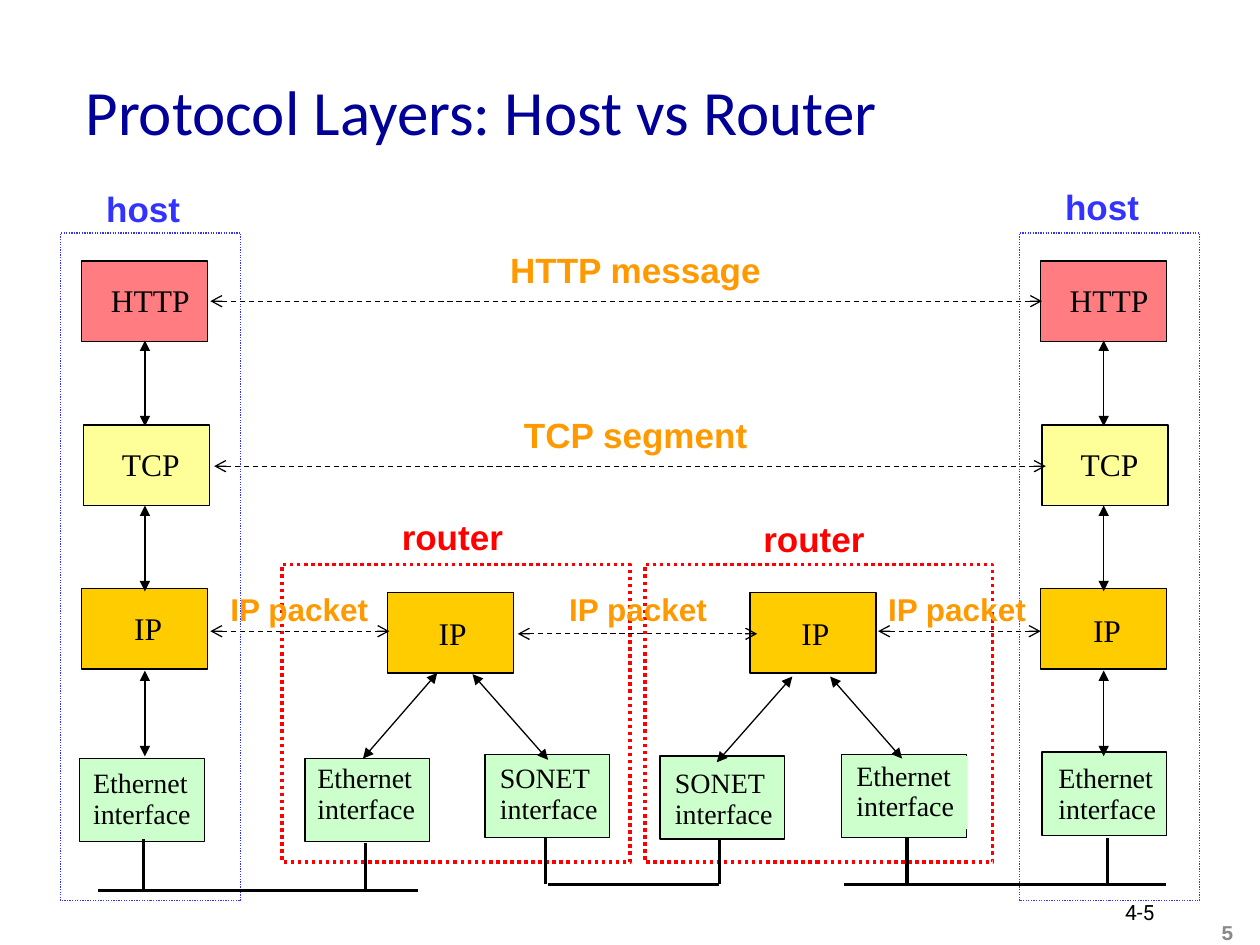
from lxml.etree import SubElement
from pptx import Presentation
from pptx.dml.color import RGBColor
from pptx.enum.dml import MSO_LINE as Dash
from pptx.enum.shapes import MSO_CONNECTOR as Connector, MSO_SHAPE as Shape
from pptx.enum.text import MSO_ANCHOR as Anchor, PP_ALIGN as Align
from pptx.oxml.ns import qn
from pptx.util import Pt

BLACK = RGBColor(0x00, 0x00, 0x00)
NAVY = RGBColor(0x00, 0x00, 0x99)
GRAY = RGBColor(0x89, 0x89, 0x89)
BLUE = RGBColor(0x33, 0x33, 0xFF)
RED = RGBColor(0xFF, 0x00, 0x00)
ORANGE = RGBColor(0xFF, 0x99, 0x00)
PINK = RGBColor(0xFF, 0x7C, 0x80)
YELLOW = RGBColor(0xFF, 0xFF, 0x99)
GOLD = RGBColor(0xFF, 0xCC, 0x00)
GREEN = RGBColor(0xCC, 0xFF, 0xCC)

SERIF, SANS = "Times New Roman", "Arial"
LAYER_SIZE = (72, 46)
INTERFACE_SIZE = (71.3, 47.5)
HOST_SIZE = (103, 381.6)
ROUTER_SIZE = (198.7, 170)
LAYERS = [
    ("HTTP", PINK, 12.2, 16, 9.5, 59.8),
    ("TCP", YELLOW, 13, 109.6, 15, 47.5),
    ("IP", GOLD, 12, 203.2, 23, 30.2),
]


def add_text(slide, text, box, *, font=SANS, size=20, color=BLACK, bold=False,
             align=Align.LEFT, anchor=Anchor.TOP, spacing=None, wrap=False, fill=None):
    label = slide.shapes.add_textbox(*map(Pt, box))
    if fill is not None:
        label.fill.solid()
        label.fill.fore_color.rgb = fill
    frame = label.text_frame
    frame.word_wrap = wrap
    frame.vertical_anchor = anchor
    frame.text = text
    for paragraph in frame.paragraphs:
        paragraph.alignment = align
        paragraph.line_spacing = spacing
        for run in paragraph.runs:
            run.font.name = font
            run.font.size = Pt(size)
            run.font.bold = bold
            run.font.color.rgb = color


def add_box(slide, box, fill=None, color=BLACK, width=0.75, dash=None):
    rect = slide.shapes.add_shape(Shape.RECTANGLE, *map(Pt, box))
    rect.shadow.inherit = False
    if fill is None:
        rect.fill.background()
    else:
        rect.fill.solid()
        rect.fill.fore_color.rgb = fill
    rect.line.color.rgb = color
    rect.line.width = Pt(width)
    rect.line.dash_style = dash


def add_line(slide, start, end, width=0.75, dash=None, arrow=None):
    link = slide.shapes.add_connector(Connector.STRAIGHT, *map(Pt, (*start, *end)))
    link.line.color.rgb = BLACK
    link.line.width = Pt(width)
    link.line.dash_style = dash
    if arrow:
        outline = link.line._get_or_add_ln()
        for tip in ("a:headEnd", "a:tailEnd"):
            SubElement(outline, qn(tip), type=arrow)
    SubElement(link._element.spPr, qn("a:effectLst"))


def add_layer(slide, name, fill, left, top, indent, width, drop=8):
    add_box(slide, (left, top, *LAYER_SIZE), fill)
    add_text(slide, name, (left + indent, top + drop, width, 29), font=SERIF, size=18)


def add_interface(slide, name, left, top, indent, drop, label_fill=None):
    add_box(slide, (left, top, *INTERFACE_SIZE), GREEN)
    add_text(slide, f"{name}\ninterface", (left + indent, top + drop, 70.6, 41.8),
             font=SERIF, size=16, spacing=0.9, fill=label_fill)


def add_host(slide, left, top, title_top, interface, ip_drop):
    for name, fill, x, y, indent, width in LAYERS:
        drop = ip_drop if name == "IP" else 8
        add_layer(slide, name, fill, left + x, top + y, indent, width, drop)
    x, y, indent, drop = interface
    add_interface(slide, "Ethernet", left + x, top + y, indent, drop)
    for row in range(3):
        arrow_top = top + 61.4 + row * 94.3
        add_line(slide, (left + 48.2, arrow_top), (left + 48.2, arrow_top + 49),
                 arrow="triangle")
    add_box(slide, (left, top, *HOST_SIZE), color=BLUE, dash=Dash.ROUND_DOT)
    add_text(slide, "host", (left + 19, title_top, 56.9, 31.7), color=BLUE, bold=True)


def add_router(slide, left, top, title, interfaces):
    add_layer(slide, "IP", GOLD, left + 60, top + 16, 22.3, 30.2, 8.6)
    for name, x, y, indent, drop, label_fill, start, end in interfaces:
        add_interface(slide, name, left + x, top + y, indent, drop, label_fill)
        add_line(slide, (left + start[0], top + start[1]), (left + end[0], top + end[1]),
                 arrow="triangle")
    add_box(slide, (left, top, *ROUTER_SIZE), color=RED, width=2, dash=Dash.ROUND_DOT)
    add_text(slide, "router", (left + title[0], top + title[1], 73.4, 31.7),
             color=RED, bold=True)


def add_network(slide, left, right, y, drops):
    add_line(slide, (left, y), (right, y), width=2)
    for x, top in drops:
        add_line(slide, (x, top), (x, y), width=2)


def add_exchange(slide, message, start, end, y, label_box, size=20):
    add_line(slide, (start, y), (end, y), dash=Dash.DASH, arrow="arrow")
    add_text(slide, message, label_box, size=size, color=ORANGE, bold=True)


def main():
    deck = Presentation()
    deck.slide_width, deck.slide_height = Pt(720), Pt(540)
    slide = deck.slides.add_slide(deck.slide_layouts[6])

    add_text(slide, "Protocol Layers: Host vs Router", (41.8, 18, 612, 90),
             font="Calibri", size=36, color=NAVY, anchor=Anchor.MIDDLE, wrap=True)
    add_text(slide, "4-5", (635.8, 510.5, 53.3, 21.6), font="Roboto", size=12, wrap=True)
    add_text(slide, "5", (544.3, 522, 167.8, 18), font="Courier New", size=12,
             color=GRAY, bold=True, align=Align.RIGHT, wrap=True)

    add_host(slide, 34.6, 133.2, 103.7, (10.8, 300.2, 0.7, 2.9), 8)
    add_host(slide, 582.5, 133.2, 102.2, (13, 296.6, 2.2, 3.6), 9.4)
    add_router(slide, 161.3, 322.6, (61.2, -31.7), [
        ("Ethernet", 13, 110.9, 0, 0, None, (88.6, 61.9), (46.1, 110.9)),
        ("SONET", 115.9, 108.7, 1.4, 2.2, None, (108.7, 62.6), (151.9, 111.6)),
    ])
    add_router(slide, 368.6, 322.6, (60.5, -30.3), [
        ("SONET", 8.6, 109.4, 1.4, 4.3, None, (84.2, 64), (41, 113)),
        ("Ethernet", 112.3, 108.7, 1.4, 0.7, GREEN, (105.8, 64), (146.9, 110.9)),
    ])

    add_network(slide, 56.2, 239, 509, [(82.1, 479.5), (208.8, 481.7)])
    add_network(slide, 313.2, 411.1, 505.4, [(311.8, 478.8), (411.1, 479.5)])
    add_network(slide, 482.4, 666, 505.4, [(518.4, 478.8), (632.9, 478.8)])

    add_exchange(slide, "HTTP message", 120.2, 595.4, 172.1, (284.4, 138.2, 159.1, 31.7))
    add_exchange(slide, "TCP segment", 122.4, 597.6, 266.4, (292.3, 232.6, 143.3, 31.7))
    for start, end, y, label_left in [
        (120.2, 222.5, 360.7, 124.6),
        (295.9, 432.7, 362.2, 318.2),
        (501.8, 594.7, 360.7, 500.4),
    ]:
        add_exchange(slide, "IP packet", start, end, y, (label_left, 333.4, 94.3, 29), 18)

    deck.save("out.pptx")


if __name__ == "__main__":
    main()
